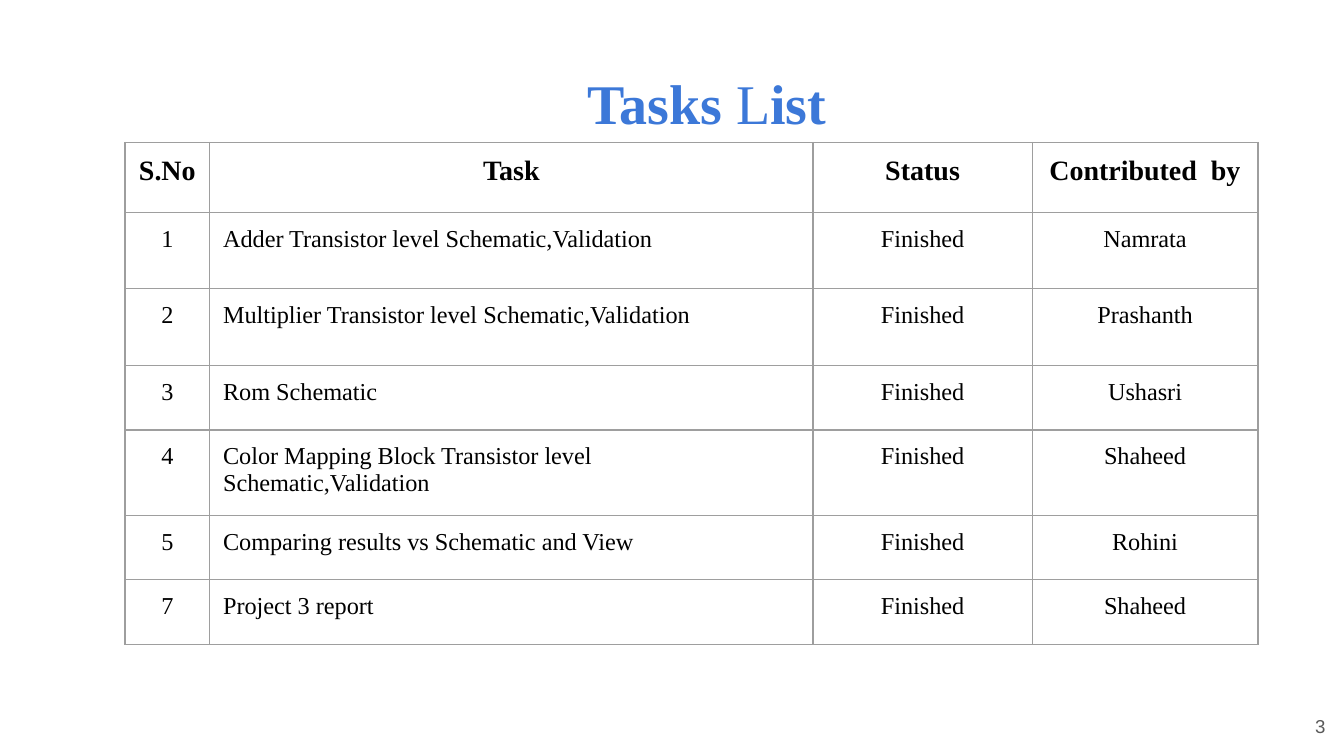
from typing import NamedTuple

from lxml.etree import SubElement
from pptx import Presentation
from pptx.dml.color import RGBColor
from pptx.enum.text import MSO_ANCHOR as Anchor, PP_ALIGN as Align
from pptx.oxml.ns import qn
from pptx.util import Inches, Pt

BLACK = RGBColor(0x00, 0x00, 0x00)
WHITE = RGBColor(0xFF, 0xFF, 0xFF)
BLUE = RGBColor(0x3C, 0x78, 0xD8)
GRAY = RGBColor(0x59, 0x59, 0x59)
BORDER = RGBColor(0x9E, 0x9E, 0x9E)
SERIF, SANS = "Times New Roman", "Arial"
INSET = Inches(0.1)


class Task(NamedTuple):
    number: str
    name: str
    owner: str
    height: float = 0.48
    status: str = "Finished"


HEADINGS = ("S.No", "Task", "Status", "Contributed  by")
HEADING_HEIGHT = 0.52
COLUMN_WIDTHS = (0.63, 4.49, 1.63, 1.68)
TASKS = (
    Task("1", "Adder Transistor level Schematic,Validation", "Namrata", 0.57),
    Task("2", "Multiplier Transistor level Schematic,Validation", "Prashanth", 0.57),
    Task("3", "Rom Schematic", "Ushasri"),
    Task("4", "Color Mapping Block Transistor level Schematic,Validation", "Shaheed"),
    Task("5", "Comparing results vs Schematic and View", "Rohini"),
    Task("7", "Project 3 report", "Shaheed"),
)


def style_font(font, name: str, size: float, color: RGBColor, bold: bool = False) -> None:
    font.name, font.size, font.bold = name, Pt(size), bold
    font.color.rgb = color


def set_insets(holder) -> None:
    holder.margin_left = holder.margin_right = INSET
    holder.margin_top = holder.margin_bottom = INSET


def add_box(page, left: float, top: float, width: float, height: float):
    box = page.shapes.add_textbox(Inches(left), Inches(top), Inches(width), Inches(height))
    box.text_frame.word_wrap = True
    set_insets(box.text_frame)
    return box


def add_borders(cell) -> None:
    properties = cell._tc.get_or_add_tcPr()
    for position, side in enumerate(("lnL", "lnR", "lnT", "lnB")):
        line = SubElement(properties, qn(f"a:{side}"), w=str(Pt(0.75)))
        fill = SubElement(line, qn("a:solidFill"))
        SubElement(fill, qn("a:srgbClr"), val=str(BORDER))
        properties.insert(position, line)  # borders come before the cell fill


def fill_cell(cell, text: str, size: int, bold: bool, align: Align) -> None:
    cell.fill.solid()
    cell.fill.fore_color.rgb = WHITE
    add_borders(cell)
    set_insets(cell)
    cell.vertical_anchor = Anchor.TOP
    para = cell.text_frame.paragraphs[0]
    para.text = text
    para.alignment = align
    style_font(para.runs[0].font, SERIF, size, BLACK, bold)
    # The paragraph end keeps the text size, so the row does not grow
    SubElement(para._p, qn("a:endParaRPr"), sz=str(size * 100))


def add_title(page) -> None:
    frame = add_box(page, 0.82, 0.41, 8.21, 1.04).text_frame
    frame.margin_left = Inches(3.55)
    for text, bold in (("Tasks ", True), ("L", False), ("ist", True)):
        span = frame.paragraphs[0].add_run()
        span.text = text
        style_font(span.font, SERIF, 30, BLUE, bold)


def add_task_table(page) -> None:
    heights = [HEADING_HEIGHT] + [task.height for task in TASKS]
    rows = [HEADINGS] + [(task.number, task.name, task.status, task.owner) for task in TASKS]
    table = page.shapes.add_table(
        len(rows), len(HEADINGS), Inches(0.93), Inches(1.06),
        Inches(sum(COLUMN_WIDTHS)), Inches(sum(heights)),
    ).table
    for column, width in zip(table.columns, COLUMN_WIDTHS):
        column.width = Inches(width)
    for r, (texts, height) in enumerate(zip(rows, heights)):
        table.rows[r].height = Inches(height)
        heading = r == 0
        for c, text in enumerate(texts):
            # Only the task names are set flush left
            align = Align.LEFT if c == 1 and not heading else Align.CENTER
            fill_cell(table.cell(r, c), text, 15 if heading else 13, heading, align)


def add_page_number(page) -> None:
    frame = add_box(page, 9.36, 5.19, 0.6, 0.43).text_frame
    frame.vertical_anchor = Anchor.MIDDLE
    para = frame.paragraphs[0]
    para.text = "3"
    para.alignment = Align.RIGHT
    style_font(para.runs[0].font, SANS, 10, GRAY)


def main() -> None:
    deck = Presentation()
    # Widescreen page, 16 to 9
    deck.slide_width = Inches(10)
    deck.slide_height = deck.slide_width * 9 // 16
    page = deck.slides.add_slide(deck.slide_layouts[6])
    add_title(page)
    add_task_table(page)
    add_page_number(page)
    deck.save("out.pptx")


if __name__ == "__main__":
    main()
